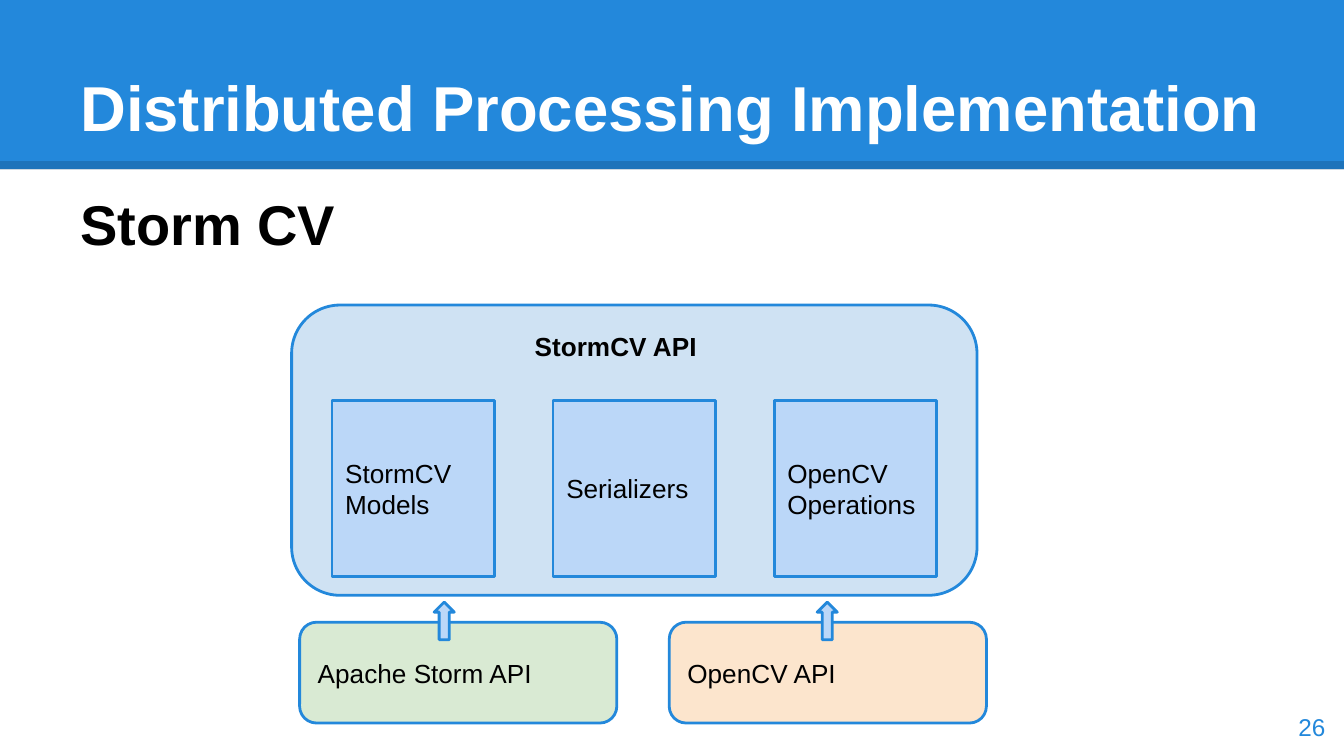
from dataclasses import dataclass

import lxml.etree
import pptx
import pptx.dml.color
import pptx.enum.shapes
import pptx.enum.text
import pptx.oxml.ns
import pptx.util

Inches = pptx.util.Inches
Pt = pptx.util.Pt
SHAPE = pptx.enum.shapes.MSO_SHAPE
ANCHOR = pptx.enum.text.MSO_ANCHOR
ALIGN = pptx.enum.text.PP_ALIGN

COLORS = {
    "blue": "2388DB",
    "panel": "CFE2F3",
    "module": "BBD7F8",
    "green": "D9EAD3",
    "orange": "FCE5CD",
    "black": "000000",
    "white": "FFFFFF",
}


@dataclass
class Area:
    left: float
    top: float
    width: float
    height: float

    def lengths(self) -> list:
        return [Inches(v) for v in (self.left, self.top, self.width, self.height)]


@dataclass
class Style:
    size: float = 14
    color: str = "black"
    bold: bool = False
    anchor: ANCHOR = ANCHOR.MIDDLE
    align: ALIGN = ALIGN.LEFT


def rgb(name: str) -> pptx.dml.color.RGBColor:
    return pptx.dml.color.RGBColor.from_string(COLORS[name])


def write(shape, text: str, style: Style) -> None:
    frame = shape.text_frame
    frame.text = text
    frame.word_wrap = True
    frame.vertical_anchor = style.anchor
    frame.margin_left = frame.margin_right = Inches(0.1)
    frame.margin_top = frame.margin_bottom = Inches(0.1)
    para = frame.paragraphs[0]
    para.alignment = style.align
    font = para.runs[0].font
    font.name = "Arial"
    font.size = Pt(style.size)
    font.bold = style.bold
    font.color.rgb = rgb(style.color)


def add_label(page, area: Area, text: str, style: Style) -> None:
    write(page.shapes.add_textbox(*area.lengths()), text, style)


def add_block(page, kind: SHAPE, area: Area, fill: str, text: str = "",
              outlined: bool = True) -> None:
    block = page.shapes.add_shape(kind, *area.lengths())
    block.shadow.inherit = False
    block.fill.solid()
    block.fill.fore_color.rgb = rgb(fill)
    if outlined:
        block.line.color.rgb = rgb("blue")
        block.line.width = Pt(1.5)
    else:
        block.line.fill.background()
    if text:
        write(block, text, Style())


def add_band_edge(page, y: float) -> None:
    edge = page.shapes.add_connector(
        pptx.enum.shapes.MSO_CONNECTOR.STRAIGHT,
        Inches(0), Inches(y), Inches(10), Inches(y))
    edge.line.color.rgb = rgb("black")
    edge.line.width = Pt(4.5)
    qn = pptx.oxml.ns.qn
    properties = edge.element.spPr
    color = properties.find(".//" + qn("a:srgbClr"))
    lxml.etree.SubElement(color, qn("a:alpha")).set("val", "15000")
    lxml.etree.SubElement(properties, qn("a:effectLst"))


def main() -> None:
    # Widescreen page, 16 by 9
    deck = pptx.Presentation()
    deck.slide_width = Inches(10)
    deck.slide_height = Inches(10 * 9 / 16)
    page = deck.slides.add_slide(deck.slide_layouts[6])

    # Title band
    add_block(page, SHAPE.RECTANGLE, Area(0, 0, 10, 1.26), "blue", outlined=False)
    add_band_edge(page, 1.23)
    add_label(page, Area(0.5, 0.23, 9, 0.94), "Distributed Processing Implementation",
              Style(34, "white", True, ANCHOR.BOTTOM))

    # StormCV panel and the APIs beneath it
    add_block(page, SHAPE.ROUNDED_RECTANGLE, Area(2.17, 2.27, 5.1, 2.16), "panel")
    for left, fill, text in ((2.23, "green", "Apache Storm API"),
                             (4.98, "orange", "OpenCV API")):
        add_block(page, SHAPE.ROUNDED_RECTANGLE, Area(left, 4.63, 2.36, 0.75), fill, text)

    # Modules spread evenly inside the panel
    modules = ("StormCV Models", "Serializers", "OpenCV Operations")
    first_left, last_left = 2.47, 5.76
    step = (last_left - first_left) / (len(modules) - 1)
    for column, text in enumerate(modules):
        add_block(page, SHAPE.RECTANGLE, Area(first_left + column * step, 2.98, 1.21, 1.31),
                  "module", text)

    # Arrows from the APIs up to the panel
    for left in (3.23, 6.08):
        add_block(page, SHAPE.UP_ARROW, Area(left, 4.48, 0.15, 0.28), "module")

    # Heading, panel caption and page number
    add_label(page, Area(0.5, 1.31, 9, 4.07), "Storm CV",
              Style(30, bold=True, anchor=ANCHOR.TOP))
    add_label(page, Area(3.88, 2.36, 1.68, 0.68), "StormCV API",
              Style(bold=True, anchor=ANCHOR.TOP))
    add_label(page, Area(9.36, 5.19, 0.6, 0.43), "26",
              Style(13, "blue", align=ALIGN.RIGHT))

    deck.save("out.pptx")


if __name__ == "__main__":
    main()
